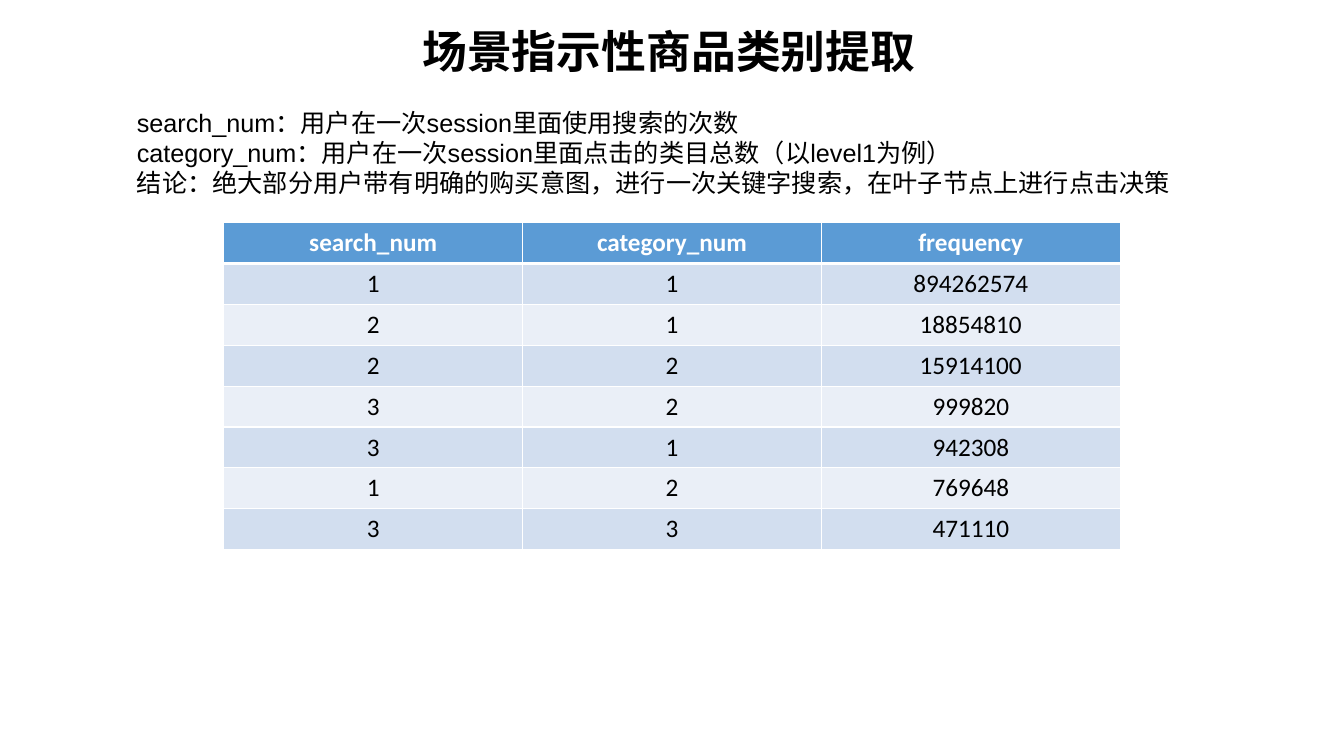
from lxml.etree import SubElement
from pptx import Presentation
from pptx.dml.color import RGBColor
from pptx.enum.text import MSO_ANCHOR as Anchor, MSO_AUTO_SIZE as AutoSize, PP_ALIGN as Align
from pptx.oxml.ns import qn
from pptx.util import Cm, Pt

BLACK = RGBColor(0x00, 0x00, 0x00)
WHITE = RGBColor(0xFF, 0xFF, 0xFF)
HEADER_BLUE = RGBColor(0x5B, 0x9B, 0xD5)
BAND_DARK = RGBColor(0xD2, 0xDE, 0xEF)
BAND_LIGHT = RGBColor(0xEA, 0xEF, 0xF7)


def add_text(para, text, size, color, font="Calibri", bold=False):
    run = para.add_run()
    run.text = text
    run.font.size = Pt(size)
    run.font.name = font
    run.font.bold = bold
    run.font.color.rgb = color


def add_border(cell, side, width):
    line = SubElement(cell._tc.get_or_add_tcPr(), qn(f"a:ln{side}"), w=str(Pt(width)))
    fill = SubElement(line, qn("a:solidFill"))
    SubElement(fill, qn("a:srgbClr"), val=str(WHITE))


deck = Presentation()
deck.slide_width = Cm(33.87)
deck.slide_height = Cm(19.05)
page = deck.slides.add_slide(deck.slide_layouts[5])

title = page.shapes.title
title.left, title.top, title.width, title.height = Cm(10.39), Cm(0.48), Cm(13.11), Cm(1.63)
title.text_frame.auto_size = AutoSize.NONE
title.text_frame.vertical_anchor = Anchor.TOP
title_para = title.text_frame.paragraphs[0]
title_para.alignment = Align.LEFT
add_text(title_para, "场景指示性商品类别提取", 32, BLACK, bold=True)

notes = [
    ("search_num：用户在一次session里面使用搜索的次数", "Arial"),
    ("category_num：用户在一次session里面点击的类目总数（以level1为例）", "Arial"),
    ("结论：绝大部分用户带有明确的购买意图，进行一次关键字搜索，在叶子节点上进行点击决策", "Calibri"),
]
box = page.shapes.add_textbox(Cm(3.2), Cm(2.57), Cm(27.43), Cm(2.57))
box.text_frame.word_wrap = True
for index, (text, font) in enumerate(notes):
    para = box.text_frame.add_paragraph() if index else box.text_frame.paragraphs[0]
    add_text(para, text, 18, BLACK, font)

rows = [
    ("search_num", "category_num", "frequency"),
    (1, 1, 894262574),
    (2, 1, 18854810),
    (2, 2, 15914100),
    (3, 2, 999820),
    (3, 1, 942308),
    (1, 2, 769648),
    (3, 3, 471110),
]
table = page.shapes.add_table(
    len(rows), 3, Cm(5.64), Cm(5.61), Cm(22.59), Cm(8.24)
).table
for row_index, values in enumerate(rows):
    is_header = row_index == 0
    band = BAND_DARK if row_index % 2 else BAND_LIGHT
    for column_index, value in enumerate(values):
        cell = table.cell(row_index, column_index)
        for side in "LRTB":
            thick = (is_header and side == "B") or (row_index == 1 and side == "T")
            add_border(cell, side, 3 if thick else 1)
        cell.fill.solid()
        cell.fill.fore_color.rgb = HEADER_BLUE if is_header else band
        para = cell.text_frame.paragraphs[0]
        para.alignment = Align.CENTER
        add_text(para, str(value), 18, WHITE if is_header else BLACK, bold=is_header)

deck.save("out.pptx")
